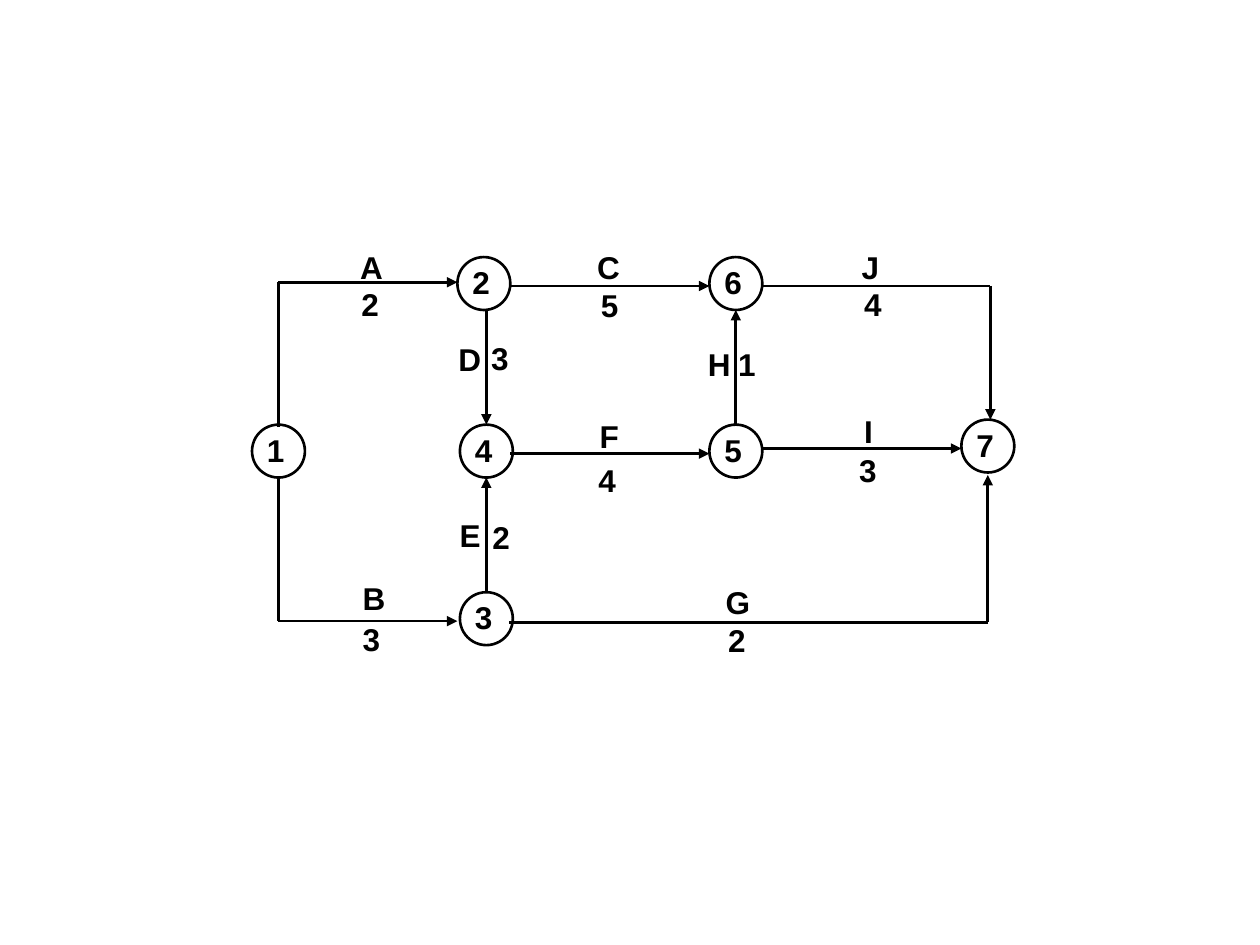
from itertools import pairwise
from typing import NamedTuple

from lxml.etree import SubElement
from pptx import Presentation
from pptx.dml.color import RGBColor
from pptx.enum.shapes import MSO_CONNECTOR, MSO_SHAPE
from pptx.oxml.ns import qn
from pptx.util import Inches, Pt

COLORS = {"ink": "000000"}
INK = RGBColor.from_string(COLORS["ink"])
FONT = "Arial"
LINE_WIDTH = Pt(1.5)
DIAMETER = 0.42
NUMBER_SHIFT = 0.02
NUMBER_WIDTH = 0.33
LABEL_WIDTH = 0.58
TEXT_HEIGHT = 0.4

Point = tuple[float, float]


class Event(NamedTuple):
    number: str
    left: float
    top: float


class Activity(NamedTuple):
    name: str
    name_at: Point
    duration: str
    duration_at: Point
    route: list[Point]


EVENTS = [
    Event("1", 2, 3.37),
    Event("2", 3.63, 2.04),
    Event("3", 3.65, 4.7),
    Event("4", 3.65, 3.37),
    Event("5", 5.63, 3.37),
    Event("6", 5.63, 2.04),
    Event("7", 7.63, 3.33),
]

ACTIVITIES = [
    Activity("A", (2.76, 1.92), "2", (2.77, 2.21),
             [(2.21, 3.39), (2.21, 2.24), (3.63, 2.24)]),
    Activity("B", (2.78, 4.55), "3", (2.78, 4.87),
             [(2.21, 3.78), (2.21, 4.93), (3.63, 4.93)]),
    Activity("C", (4.64, 1.92), "5", (4.67, 2.22), [(4.04, 2.27), (5.63, 2.27)]),
    Activity("D", (3.54, 2.65), "3", (3.8, 2.64), [(3.86, 2.45), (3.86, 3.37)]),
    Activity("E", (3.55, 4.05), "2", (3.81, 4.06), [(3.86, 4.7), (3.86, 3.79)]),
    Activity("F", (4.66, 3.26), "4", (4.65, 3.61), [(4.05, 3.6), (5.63, 3.6)]),
    Activity("G", (5.66, 4.58), "2", (5.68, 4.88),
             [(4.04, 4.94), (7.84, 4.94), (7.84, 3.77)]),
    Activity("H", (5.52, 2.69), "1", (5.76, 2.69), [(5.84, 3.38), (5.84, 2.46)]),
    Activity("I", (6.76, 3.22), "3", (6.72, 3.53), [(6.04, 3.56), (7.63, 3.56)]),
    Activity("J", (6.74, 1.92), "4", (6.76, 2.21),
             [(6.04, 2.27), (7.86, 2.27), (7.86, 3.33)]),
]


def add_label(slide, text: str, at: Point, width: float) -> None:
    left, top = at
    label = slide.shapes.add_textbox(
        Inches(left), Inches(top), Inches(width), Inches(TEXT_HEIGHT))
    label.text_frame.word_wrap = True
    run = label.text_frame.paragraphs[0].add_run()
    run.text = text
    run.font.name = FONT
    run.font.size = Pt(18)
    run.font.bold = True
    run.font.color.rgb = INK


def add_event(slide, event: Event) -> None:
    circle = slide.shapes.add_shape(
        MSO_SHAPE.OVAL, Inches(event.left), Inches(event.top),
        Inches(DIAMETER), Inches(DIAMETER))
    circle.shadow.inherit = False
    circle.fill.background()
    circle.line.color.rgb = INK
    circle.line.width = LINE_WIDTH
    add_label(slide, event.number, (event.left + NUMBER_SHIFT, event.top), NUMBER_WIDTH)


def add_route(slide, route: list[Point]) -> None:
    """Draw the legs of a route, with an arrowhead on the last one."""
    for start, end in pairwise(route):
        leg = slide.shapes.add_connector(
            MSO_CONNECTOR.STRAIGHT, *map(Inches, start + end))
        leg.line.color.rgb = INK
        leg.line.width = LINE_WIDTH
        if end == route[-1]:
            SubElement(leg.line._get_or_add_ln(), qn("a:tailEnd"), type="triangle")
        SubElement(leg._element.spPr, qn("a:effectLst"))


def add_activity(slide, activity: Activity) -> None:
    add_route(slide, activity.route)
    add_label(slide, activity.name, activity.name_at, LABEL_WIDTH)
    add_label(slide, activity.duration, activity.duration_at, LABEL_WIDTH)


def main() -> None:
    presentation = Presentation()
    presentation.slide_width = Inches(10)
    presentation.slide_height = Inches(7.5)
    slide = presentation.slides.add_slide(presentation.slide_layouts[6])
    for event in EVENTS:
        add_event(slide, event)
    for activity in ACTIVITIES:
        add_activity(slide, activity)
    presentation.save("out.pptx")


if __name__ == "__main__":
    main()
